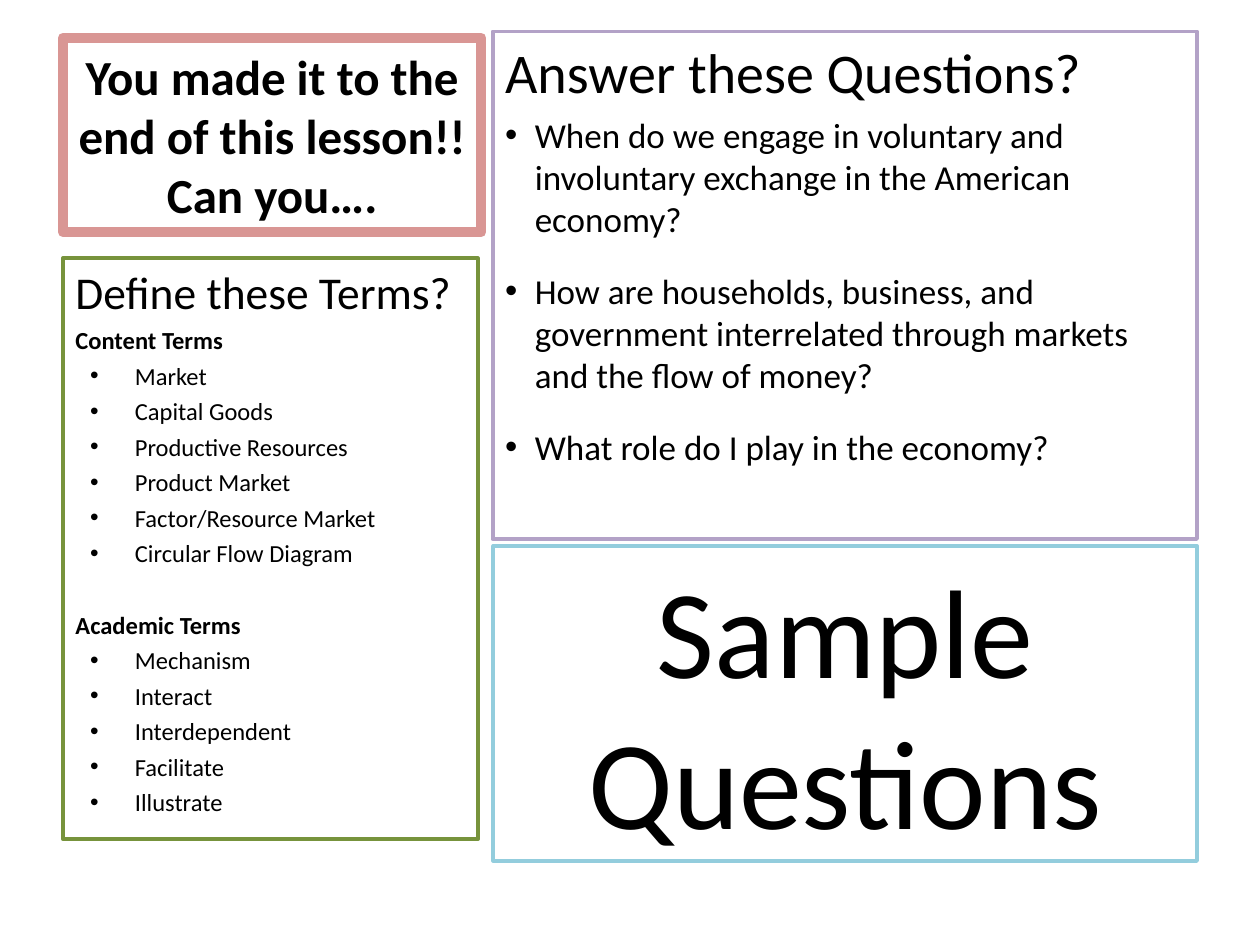
from lxml.etree import SubElement
from pptx import Presentation
from pptx.dml.color import RGBColor
from pptx.enum.shapes import MSO_SHAPE
from pptx.enum.text import MSO_ANCHOR, MSO_AUTO_SIZE, PP_ALIGN
from pptx.oxml.ns import qn
from pptx.util import Pt

COLORS = {
    "text": "000000",
    "title": "D99694",
    "questions": "B3A2C7",
    "terms": "77933C",
    "sample": "93CDDD",
}
QUESTIONS = [
    "When do we engage in voluntary and involuntary exchange in the American economy?",
    "How are households, business, and government interrelated through markets and the flow of money?",
    "What role do I play in the economy?",
]
TERMS = {
    "Content Terms": [
        "Market", "Capital Goods", "Productive Resources", "Product Market",
        "Factor/Resource Market", "Circular Flow Diagram",
    ],
    "Academic Terms": [
        "Mechanism", "Interact", "Interdependent", "Facilitate", "Illustrate",
    ],
}


class LessonSlide:
    """Hold the style and the slide, and add framed panels of text."""

    font = "Calibri"

    def __init__(self, presentation):
        self.slide = presentation.slides.add_slide(presentation.slide_layouts[5])

    def frame(self, shape, color, weight, anchor):
        shape.fill.background()
        shape.line.color.rgb = RGBColor.from_string(COLORS[color])
        shape.line.width = Pt(weight)
        text_frame = shape.text_frame
        text_frame.word_wrap = True
        text_frame.auto_size = MSO_AUTO_SIZE.NONE
        text_frame.vertical_anchor = anchor
        return text_frame

    def title(self, text, left, top, width, height):
        shape = self.slide.shapes.title
        shape.left, shape.top, shape.width, shape.height = map(Pt, (left, top, width, height))
        text_frame = self.frame(shape, "title", 6, MSO_ANCHOR.MIDDLE)
        self.paragraph(text_frame, text, 28, bold=True, align=PP_ALIGN.CENTER)

    def panel(self, color, left, top, width, height, anchor=MSO_ANCHOR.TOP):
        shape = self.slide.shapes.add_shape(
            MSO_SHAPE.RECTANGLE, *map(Pt, (left, top, width, height)))
        shape.shadow.inherit = False
        return self.frame(shape, color, 2.25, anchor)

    def paragraph(self, text_frame, text, size, before=0, after=0, bold=False,
                  align=PP_ALIGN.LEFT, bullet=None):
        paragraph = text_frame.paragraphs[0]
        if paragraph.text:
            paragraph = text_frame.add_paragraph()
        paragraph.text = text
        paragraph.alignment = align
        paragraph.space_before, paragraph.space_after = Pt(before), Pt(after)
        if bullet:
            margin, hanging = bullet
            properties = paragraph._p.get_or_add_pPr()
            properties.set("marL", str(Pt(margin)))
            properties.set("indent", str(-Pt(hanging)))
            SubElement(properties, qn("a:buFont"), typeface="Arial")
            SubElement(properties, qn("a:buChar"), char="•")
        font = paragraph.runs[0].font
        font.name, font.size, font.bold = self.font, Pt(size), bold
        font.color.rgb = RGBColor.from_string(COLORS["text"])


def main():
    presentation = Presentation()
    presentation.slide_width, presentation.slide_height = Pt(720), Pt(540)
    lesson = LessonSlide(presentation)

    lesson.title("You made it to the end of this lesson!! Can you….", 36, 21.6, 239, 111)

    questions = lesson.panel("questions", 281.5, 18, 402.5, 290)
    lesson.paragraph(questions, "Answer these Questions?", 32)
    for question in QUESTIONS:
        lesson.paragraph(questions, question, 20, before=5, after=12, bullet=(17, 17))

    terms = lesson.panel("terms", 36, 147.6, 237, 332)
    lesson.paragraph(terms, "Define these Terms?", 26)
    for index, (heading, words) in enumerate(TERMS.items()):
        lesson.paragraph(terms, heading, 14, before=24 if index else 3.5, bold=True)
        for word in words:
            lesson.paragraph(terms, word, 14, before=3.5, bullet=(34, 25.5))

    sample = lesson.panel("sample", 282, 312, 402, 180, MSO_ANCHOR.MIDDLE)
    lesson.paragraph(sample, "Sample Questions", 72, align=PP_ALIGN.CENTER)

    presentation.save("out.pptx")


if __name__ == "__main__":
    main()
